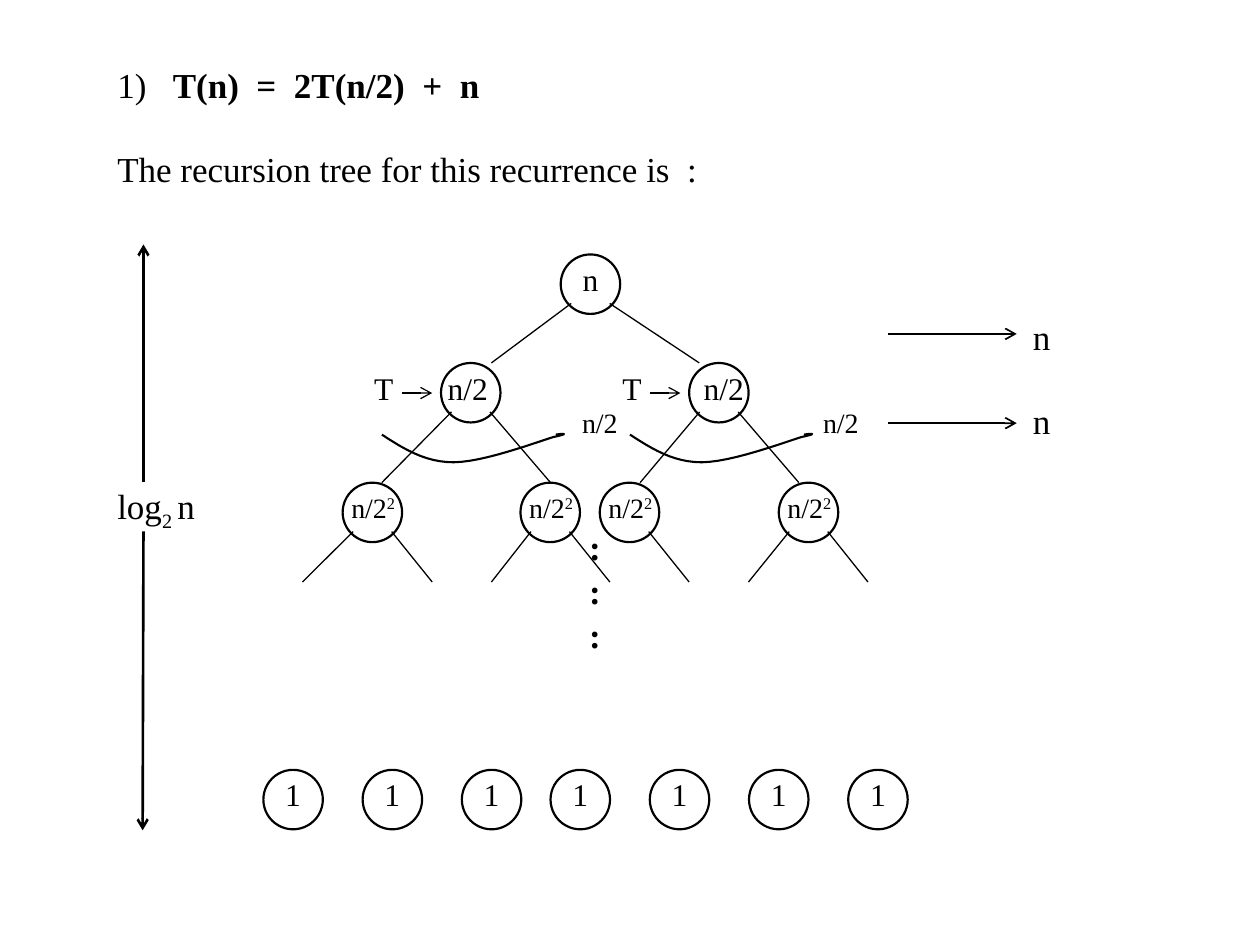
from collections import namedtuple

from pptx import Presentation
from pptx import util as u
from pptx.dml import color
from pptx.enum import shapes, text
from pptx.oxml import ns
from lxml import etree

Pt = u.Pt
COLORS = {"ink": "000000", "paper": "FFFFFF"}
FONT = "Times New Roman"
NODE = 34
Box = namedtuple("Box", "left top width height")


def rgb(name):
    return color.RGBColor.from_string(COLORS[name])


def assign(target, values):
    for attribute, value in values.items():
        setattr(target, attribute, value)


def write(paragraph, runs, size):
    """Add (text, format) runs; the format may hold bold or a baseline shift."""
    paragraph.space_before = Pt(0)
    for words, style in runs:
        run = paragraph.add_run()
        run.text = words
        assign(run.font, {"name": FONT, "size": Pt(size), "bold": style.get("bold", False)})
        run.font.color.rgb = rgb("ink")
        if "baseline" in style:
            run.font._element.set("baseline", str(style["baseline"] * 1000))


def set_frame(frame, **values):
    margins = {f"margin_{side}": 0 for side in ("left", "top", "right", "bottom")}
    assign(frame, {**margins, "word_wrap": True, "auto_size": text.MSO_AUTO_SIZE.NONE,
                   "vertical_anchor": text.MSO_ANCHOR.TOP, **values})


def add_label(slide, box, runs, size):
    frame = slide.shapes.add_textbox(*map(Pt, box)).text_frame
    set_frame(frame)
    write(frame.paragraphs[0], runs, size)
    return frame


def add_line(slide, start, end, width=0.75, arrow=False):
    line = slide.shapes.add_connector(shapes.MSO_CONNECTOR.STRAIGHT, *map(Pt, (*start, *end)))
    line.line.color.rgb = rgb("ink")
    line.line.width = Pt(width)
    if arrow:
        etree.SubElement(line.line._get_or_add_ln(), ns.qn("a:tailEnd"), type="arrow")
    etree.SubElement(line._element.spPr, ns.qn("a:effectLst"))


def add_node(slide, left, top, runs, size=18, nudge=0):
    """Draw a circled label, shifted sideways by nudge."""
    circle = slide.shapes.add_shape(shapes.MSO_SHAPE.OVAL, *map(Pt, (left, top, NODE, NODE)))
    circle.shadow.inherit = False
    circle.fill.background()
    circle.line.color.rgb = rgb("ink")
    circle.line.width = Pt(1.25)
    set_frame(circle.text_frame, word_wrap=False, margin_bottom=Pt(6),
              margin_left=Pt(max(0, 2 * nudge)), margin_right=Pt(max(0, -2 * nudge)),
              vertical_anchor=text.MSO_ANCHOR.MIDDLE)
    paragraph = circle.text_frame.paragraphs[0]
    paragraph.alignment = text.PP_ALIGN.CENTER
    write(paragraph, runs, size)


def add_swoosh(slide, left, top):
    """Draw the curved stroke under a subtree from three cubic pieces."""
    pieces = [((0, 0), (12.2, 7.9), (24.5, 15.8), (41, 15.8)),
              ((41, 15.8), (57.6, 15.8), (88.6, 4.3), (97.9, 1.4)),
              ((97.9, 1.4), (108, -0.7), (103.7, -0.7), (99.4, 0))]
    steps = 12
    points = []
    for piece in pieces:
        for step in range(1, steps + 1):
            t = step / steps
            weights = ((1 - t) ** 3, 3 * t * (1 - t) ** 2, 3 * t * t * (1 - t), t ** 3)
            x, y = (sum(w * p[axis] for w, p in zip(weights, piece)) for axis in (0, 1))
            points.append((Pt(left + x), Pt(top + y)))
    builder = slide.shapes.build_freeform(Pt(left), Pt(top))
    builder.add_line_segments(points, close=False)
    stroke = builder.convert_to_shape()
    stroke.shadow.inherit = False
    stroke.fill.background()
    stroke.line.color.rgb = rgb("ink")
    stroke.line.width = Pt(1.2)


def add_heading(slide, box):
    title, body = slide.placeholders
    contents = [(title, 0, [("1)   ", {}), ("T(n)  =  2T(n/2)  +  n", {"bold": True})]),
                (body, 48, [("The recursion tree for this recurrence is  :", {})])]
    for holder, offset, runs in contents:
        assign(holder, {"left": Pt(box.left), "top": Pt(box.top + offset),
                        "width": Pt(box.width), "height": Pt(24)})
        set_frame(holder.text_frame)
        paragraph = holder.text_frame.paragraphs[0]
        properties = paragraph._p.get_or_add_pPr()
        properties.set("marL", "0")
        properties.set("indent", "0")
        etree.SubElement(properties, ns.qn("a:buNone"))
        paragraph.alignment = text.PP_ALIGN.LEFT
        write(paragraph, runs, 20)


def add_tree(slide, box):
    quarter = [("n/2", {}), ("2", {"baseline": 30})]
    half = [("n/2", {})]
    tops = [0, 62, 130.4, 187.2]
    # Each node: left, label, size, nudge, ends of its two branches
    levels = [
        [(147.6, [("n", {})], 18, 0, (108, 226.8))],
        [(79.2, half, 18, -1.7, (45.4, 141.8)), (221, half, 18, 2.8, (193, 283.7))],
        [(23, quarter, 16, 0.5, (0, 74.2)), (124.6, quarter, 16, 0.5, (108, 175.7)),
         (169.9, quarter, 16, 0.5, (None, 221)), (272.2, quarter, 16, 0.5, (254.9, 323.2))],
    ]
    for nodes, top, next_top in zip(levels, tops, tops[1:]):
        for left, runs, size, nudge, ends in nodes:
            add_node(slide, box.left + left, box.top + top, runs, size, nudge)
            for start, end in zip((6, 28), ends):
                if end is not None:
                    add_line(slide, (box.left + left + start, box.top + top + 28),
                             (box.left + end, box.top + next_top))
    for (left, *_), cost_offset in zip(levels[1], (80.6, 76.5)):
        x = box.left + left
        add_label(slide, Box(x - 38.2, box.top + 65.6, 14, 21), [("T", {})], 18)
        add_line(slide, (x - 22.3, box.top + 79.2), (x - 5, box.top + 79.2), arrow=True)
        add_swoosh(slide, x - 33.8, box.top + 103)
        add_label(slide, Box(x + cost_offset, box.top + 86.6, 26, 19), half, 16)
    dots = add_label(slide, Box(336.7, box.top + 155, 10, 72), [(":", {"bold": True})], 20)
    for _ in range(2):
        paragraph = dots.add_paragraph()
        write(paragraph, [(":", {"bold": True})], 20)
        paragraph.space_before = Pt(1)


def add_leaves(slide, box):
    """Spread seven leaves, the last four pulled slightly to the left."""
    step = (box.width - NODE + 6) / 6
    for index in range(7):
        add_node(slide, box.left + index * step - (6 if index >= 3 else 0), box.top, [("1", {})])


def add_level_costs(slide, box):
    for arrow_y, label_y in ((10.6, 0), (61.6, 48)):
        add_line(slide, (box.left, box.top + arrow_y), (box.left + 73.4, box.top + arrow_y),
                 1, True)
        add_label(slide, Box(box.left + 82.7, box.top + label_y, 14, 24), [("n", {})], 20)


def add_depth(slide, box):
    x = box.left + 15
    add_line(slide, (x, box.top + 136), (x, box.top), 1.5, True)
    add_line(slide, (x, box.top + 164), (x - 0.5, box.top + box.height), 1.5, True)
    add_label(slide, Box(box.left, box.top + 137, box.width, 24),
              [("log", {}), ("2 ", {"baseline": -25}), ("n", {})], 20)


def main():
    deck = Presentation()
    deck.slide_width, deck.slide_height = Pt(720), Pt(540)
    slide = deck.slides.add_slide(deck.slide_layouts[1])
    slide.background.fill.solid()
    slide.background.fill.fore_color.rgb = rgb("paper")
    add_heading(slide, Box(67, 36, 620, 72))
    add_tree(slide, Box(172.8, 145.4, 324, 228))
    add_leaves(slide, Box(150.5, 439.9, 368.2, NODE))
    add_level_costs(slide, Box(507.6, 180.2, 97, 72))
    add_depth(slide, Box(67, 139.7, 60, 334.8))
    deck.save("out.pptx")


if __name__ == "__main__":
    main()
